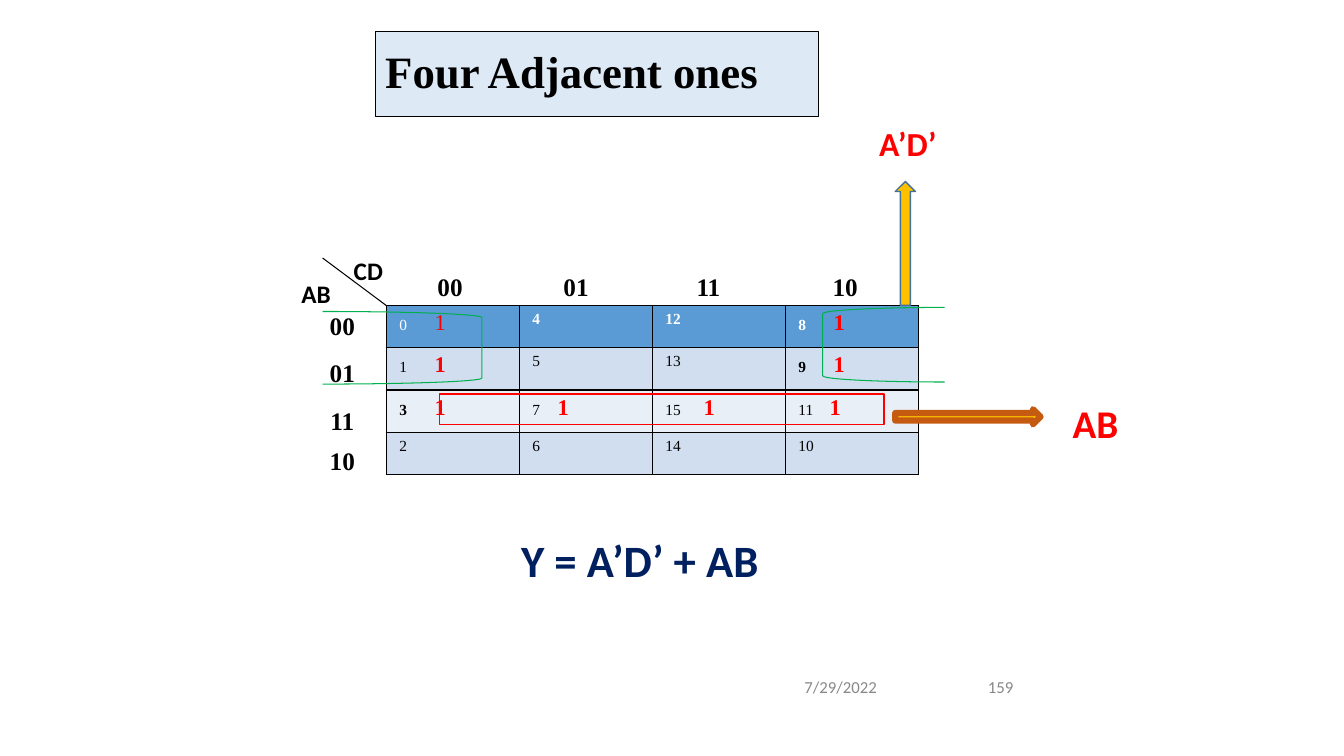
from lxml.etree import SubElement
from pptx import Presentation
from pptx.dml.color import RGBColor
from pptx.enum.shapes import MSO_CONNECTOR, MSO_SHAPE
from pptx.enum.text import MSO_ANCHOR, PP_ALIGN
from pptx.oxml.ns import qn
from pptx.util import Pt

SCALE = 9144
SERIF, SANS = "Times New Roman", "Calibri"
COLORS = {
    "black": "000000", "white": "FFFFFF", "red": "FF0000", "green": "00B050",
    "navy": "002060", "gray": "888888", "pale": "DDEAF6", "gold": "FFC000",
    "rust": "C55A11", "steel": "42719B",
    "head": "5B9BD5", "band": "D0DEEF", "light": "E9EFF7",
}
FILLS = ["head", "band", "light", "band"]
CELLS = [
    [("0", False, 35), ("4", True, 0), ("12", True, 0), ("8", True, 35)],
    [("1", False, 35), ("5", False, 0), ("13", False, 0), ("9", True, 35)],
    [("3", True, 35), ("7", False, 25), ("15", False, 38), ("11", False, 31)],
    [("2", False, 0), ("6", False, 0), ("14", False, 0), ("10", False, 0)],
]


def px(*nums):
    return [int(num * SCALE) for num in nums]


def tint(name):
    return RGBColor.from_string(COLORS[name])


def write(para, text, size=18, face=SERIF, color="black", bold=True, align=None):
    if align is not None:
        para.alignment = align
    run = para.add_run()
    run.text = text
    font = run.font
    font.size, font.name, font.bold = Pt(size), face, bold
    font.color.rgb = tint(color)


def label(slide, box, text, wrap=False, anchor=MSO_ANCHOR.TOP, **style):
    frame = slide.shapes.add_textbox(*px(*box)).text_frame
    frame.word_wrap = wrap
    frame.vertical_anchor = anchor
    write(frame.paragraphs[0], text, **style)


def draw(slide, kind, box, line, width, fill=None, bend=None):
    shape = slide.shapes.add_shape(kind, *px(*box))
    shape.shadow.inherit = False
    shape.line.color.rgb = tint(line)
    shape.line.width = Pt(width)
    if fill:
        shape.fill.solid()
        shape.fill.fore_color.rgb = tint(fill)
    else:
        shape.fill.background()
    if bend is not None:
        shape.adjustments[0] = bend


def title(slide, box):
    shape = slide.shapes.title
    shape.left, shape.top, shape.width, shape.height = px(*box)
    shape.fill.solid()
    shape.fill.fore_color.rgb = tint("pale")
    shape.line.color.rgb = tint("black")
    shape.line.width = Pt(0.75)
    frame = shape.text_frame
    frame.vertical_anchor = MSO_ANCHOR.MIDDLE
    para = frame.paragraphs[0]
    para.line_spacing = 0.9
    write(para, "Four Adjacent ones", size=32, align=PP_ALIGN.LEFT)


def edge(cell):
    props = cell._tc.get_or_add_tcPr()
    for side in ("a:lnL", "a:lnR", "a:lnT", "a:lnB"):
        line = SubElement(props, qn(side), w=str(Pt(1)))
        fill = SubElement(line, qn("a:solidFill"))
        SubElement(fill, qn("a:srgbClr"), val=COLORS["black"])


def fill_cell(cell, row, text, bold, tab):
    edge(cell)
    cell.fill.solid()
    cell.fill.fore_color.rgb = tint(FILLS[row])
    cell.margin_left, cell.margin_right = px(13, 13)
    para = cell.text_frame.paragraphs[0]
    if tab:
        stops = SubElement(para._p.get_or_add_pPr(), qn("a:tabLst"))
        SubElement(stops, qn("a:tab"), pos=str(tab * SCALE), algn="l")
    color = "black" if row else "white"
    write(para, text, size=11, color=color, bold=bold)
    if tab:
        write(para, "\t1", size=16, color="red", bold=(text != "0"))


def grid(slide, box):
    left, top, wide, high = box
    table = slide.shapes.add_table(4, 4, *px(*box)).table
    table.first_row = table.horz_banding = False
    for item in table.columns:
        item.width = px(wide // 4)[0]
    for item in table.rows:
        item.height = px(high // 4)[0]
    for row, line in enumerate(CELLS):
        for col, data in enumerate(line):
            fill_cell(table.cell(row, col), row, *data)


def axes(slide, box):
    left, top = box[:2]
    codes = ["00", "01", "11", "10"]
    for code, over, down in zip(codes, (41, 166, 298, 433), (0, 47, 94, 134)):
        label(slide, (left + over, top - 39, 45, 40), code)
        label(slide, (left - 66, top + down, 45, 40), code, align=PP_ALIGN.CENTER)
    label(slide, (left - 42, top - 55, 49, 40), "CD", face=SANS)
    label(slide, (left - 94, top - 32, 50, 40), "AB", face=SANS)
    ends = px(left - 63, top - 47, left, top)
    slash = slide.shapes.add_connector(MSO_CONNECTOR.STRAIGHT, *ends)
    slash.line.color.rgb = tint("black")
    slash.line.width = Pt(0.75)
    SubElement(slash._element.spPr, qn("a:effectLst"))


def groups(slide, box):
    left, top = box[:2]
    draw(slide, MSO_SHAPE.RECTANGLE, (left + 53, top + 88, 441, 30), "red", 1)
    draw(slide, MSO_SHAPE.LEFT_BRACKET, (left + 433, top + 2, 121, 74),
         "green", 0.75, bend=0.083)
    draw(slide, MSO_SHAPE.RIGHT_BRACKET, (left - 63, top + 6, 158, 72),
         "green", 0.75, bend=0.083)


def terms(slide, box):
    left, top = box[:2]
    draw(slide, MSO_SHAPE.RIGHT_ARROW, (left + 505, top + 103, 144, 15),
         "rust", 4.5, "gold")
    draw(slide, MSO_SHAPE.UP_ARROW, (left + 505, top - 123, 20, 123),
         "steel", 1, "gold")
    label(slide, (left + 479, top - 186, 78, 50), "A’D’",
          size=24, face=SANS, color="red")
    label(slide, (left + 671, top + 88, 125, 57), "AB", wrap=True,
          size=28, face=SANS, color="red")
    label(slide, (left + 124, top + 221, 354, 64), "Y = A’D’ + AB", wrap=True,
          size=32, face=SANS, color="navy")


def footer(slide, box):
    left, top, wide, high = box
    style = dict(wrap=True, anchor=MSO_ANCHOR.MIDDLE, size=12, face=SANS,
                 color="gray", bold=False)
    label(slide, (left, top, 100, high), "7/29/2022", **style)
    label(slide, (left + wide - 75, top, 75, high), "159",
          align=PP_ALIGN.RIGHT, **style)


def main():
    deck = Presentation()
    deck.slide_width, deck.slide_height = px(1333, 750)
    slide = deck.slides.add_slide(deck.slide_layouts[5])
    board = (383, 303, 528, 168)
    title(slide, (372, 31, 440, 85))
    for part in (grid, axes, groups, terms):
        part(slide, board)
    footer(slide, (788, 661, 227, 40))
    deck.save("out.pptx")


if __name__ == "__main__":
    main()
